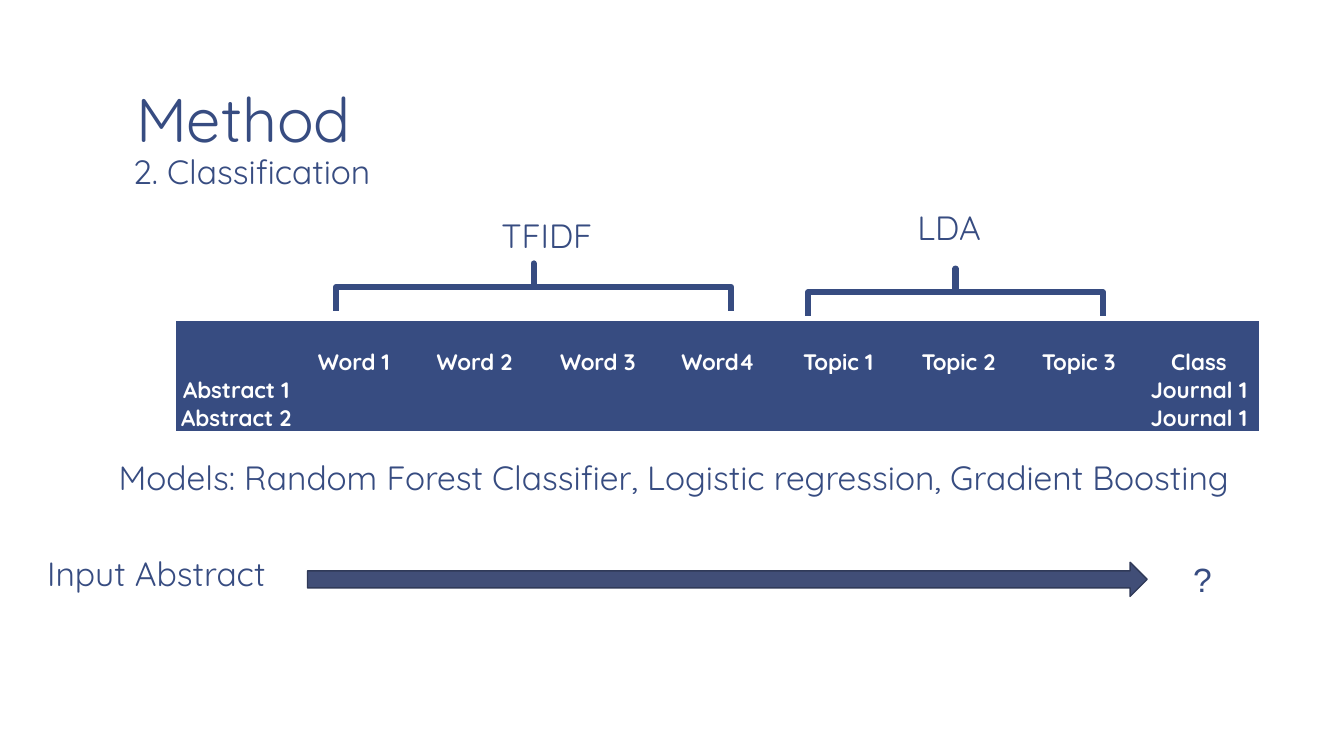
from lxml import etree
from pptx import Presentation
from pptx.dml.color import RGBColor
from pptx.enum.shapes import MSO_SHAPE
from pptx.enum.text import MSO_ANCHOR, PP_ALIGN
from pptx.oxml.ns import qn
from pptx.util import Cm, Pt

BRACE, ARROW = MSO_SHAPE.RIGHT_BRACE, MSO_SHAPE.RIGHT_ARROW
TOP, BOTTOM = MSO_ANCHOR.TOP, MSO_ANCHOR.BOTTOM
LEFT, CENTER = PP_ALIGN.LEFT, PP_ALIGN.CENTER

NAVY = RGBColor(0x37, 0x4C, 0x81)
ARROW_FILL = RGBColor(0x41, 0x4E, 0x77)
ARROW_EDGE = RGBColor(0x30, 0x3A, 0x58)
WHITE = RGBColor(0xFF, 0xFF, 0xFF)
FONT = "Quicksand"

# Lengths in centimetres: text, left, top, width, height, alignment, font
LABELS = [
    ("2. Classification", 3.1, 3.68, 28.14, 4.37, LEFT, FONT),
    ("TFIDF", 10.92, 5.28, 5.72, 1.27, CENTER, FONT),
    ("LDA", 21.06, 5.08, 5.72, 1.27, CENTER, FONT),
    ("Input Abstract", 0.94, 13.82, 6.35, 1.27, LEFT, FONT),
    ("?", 29.82, 13.97, 1.27, 1.27, LEFT, "Arial"),
    ("Models: Random Forest Classifier, Logistic regression, Gradient Boosting",
     2.74, 11.4, 30.48, 1.27, LEFT, FONT),
]
# Left, top and width of each bracket over the table
BRACKETS = [(8.47, 6.64, 9.96), (20.37, 6.77, 7.42)]
BRACKET_HEIGHT = 1.19

FEATURES = [
    ["", "Word 1", "Word 2", "Word 3", "Word4", "Topic 1", "Topic 2", "Topic 3", "Class"],
    ["Abstract 1"] + [""] * 7 + ["Journal 1"],
    ["Abstract 2"] + [""] * 7 + ["Journal 1"],
]
COLUMN_WIDTHS = [3.03, 2.9, 3.18] + [3.03] * 6
ROW_HEIGHTS = [1.37, 0.7, 0.7]


def add_span(para, text, size, color, font=FONT, bold=False):
    span = para.add_run()
    span.text = text
    span.font.name = font
    span.font.size = Pt(size)
    span.font.bold = bold
    span.font.color.rgb = color


def add_label(page, text, left, top, width, height, align=LEFT, font=FONT,
              size=24, anchor=TOP):
    box = page.shapes.add_textbox(Cm(left), Cm(top), Cm(width), Cm(height))
    box.text_frame.word_wrap = True
    box.text_frame.vertical_anchor = anchor
    para = box.text_frame.paragraphs[0]
    para.alignment = align
    add_span(para, text, size, NAVY, font)
    return box


def add_bracket(page, left, top, width):
    """Place a right brace turned a quarter to the left, given its turned extent."""
    turned_left = left + (width - BRACKET_HEIGHT) / 2
    turned_top = top + (BRACKET_HEIGHT - width) / 2
    brace = page.shapes.add_shape(BRACE, Cm(turned_left), Cm(turned_top),
                                  Cm(BRACKET_HEIGHT), Cm(width))
    brace.rotation = 270
    brace.adjustments[0] = 0
    brace.shadow.inherit = False
    brace.fill.background()
    brace.line.color.rgb = NAVY
    brace.line.width = Pt(4.5)


def set_borders(cell, lined_sides):
    properties = cell._tc.get_or_add_tcPr()
    for position, side in enumerate("LRTB"):
        line = etree.Element(qn(f"a:ln{side}"), w=str(Pt(2.25)))
        if side in lined_sides:
            fill = etree.SubElement(line, qn("a:solidFill"))
            etree.SubElement(fill, qn("a:srgbClr"), val=str(NAVY))
        else:
            etree.SubElement(line, qn("a:noFill"))
        properties.insert(position, line)


def fill_cell(cell, text, lined_sides):
    cell.fill.solid()
    cell.fill.fore_color.rgb = NAVY
    cell.margin_left = cell.margin_right = cell.margin_top = Cm(0.02)
    cell.margin_bottom = 0
    cell.vertical_anchor = BOTTOM
    para = cell.text_frame.paragraphs[0]
    para.alignment = CENTER
    if text:
        add_span(para, text, 16, WHITE, bold=True)
    else:
        # An empty cell needs its own text size to keep the row low
        etree.SubElement(para._p, qn("a:endParaRPr"), sz="1200")
    set_borders(cell, lined_sides)


def add_feature_table(page, left, top):
    frame = page.shapes.add_table(len(FEATURES), len(COLUMN_WIDTHS), Cm(left), Cm(top),
                                  Cm(sum(COLUMN_WIDTHS)), Cm(sum(ROW_HEIGHTS)))
    table = frame.table
    table.first_row = table.horz_banding = False
    for column, width in zip(table.columns, COLUMN_WIDTHS):
        column.width = Cm(width)
    for index, (row, height) in enumerate(zip(table.rows, ROW_HEIGHTS)):
        row.height = Cm(height)
        lined_sides = ("T" if index > 0 else "") + ("B" if index < len(FEATURES) - 1 else "")
        for cell, text in zip(row.cells, FEATURES[index]):
            fill_cell(cell, text, lined_sides)


def main():
    deck = Presentation()
    deck.slide_width, deck.slide_height = Cm(33.87), Cm(19.05)
    page = deck.slides.add_slide(deck.slide_layouts[6])

    title = add_label(page, "Method", 3.1, 0.2, 28.22, 3.89, size=44, anchor=BOTTOM)
    title.text_frame.margin_left = title.text_frame.margin_right = Cm(0.33)
    title.text_frame.margin_top = title.text_frame.margin_bottom = Cm(0.18)
    title.text_frame.paragraphs[0].line_spacing = 0.85

    add_feature_table(page, 4.44, 8.1)
    for bracket in BRACKETS:
        add_bracket(page, *bracket)
    for label in LABELS:
        add_label(page, *label)

    arrow = page.shapes.add_shape(ARROW, Cm(7.75), Cm(14.17), Cm(21.16), Cm(0.86))
    arrow.shadow.inherit = False
    arrow.fill.solid()
    arrow.fill.fore_color.rgb = ARROW_FILL
    arrow.line.color.rgb = ARROW_EDGE
    arrow.line.width = Pt(1)

    deck.save("out.pptx")


if __name__ == "__main__":
    main()
